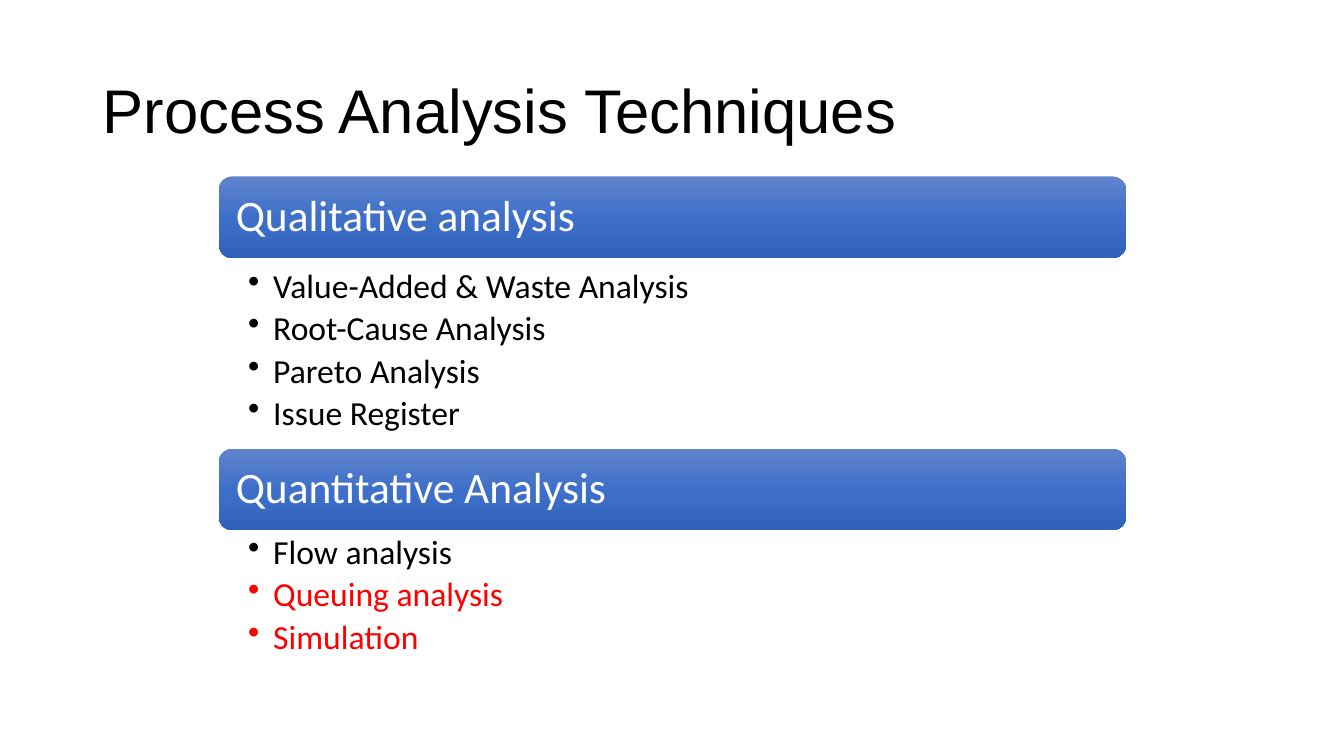
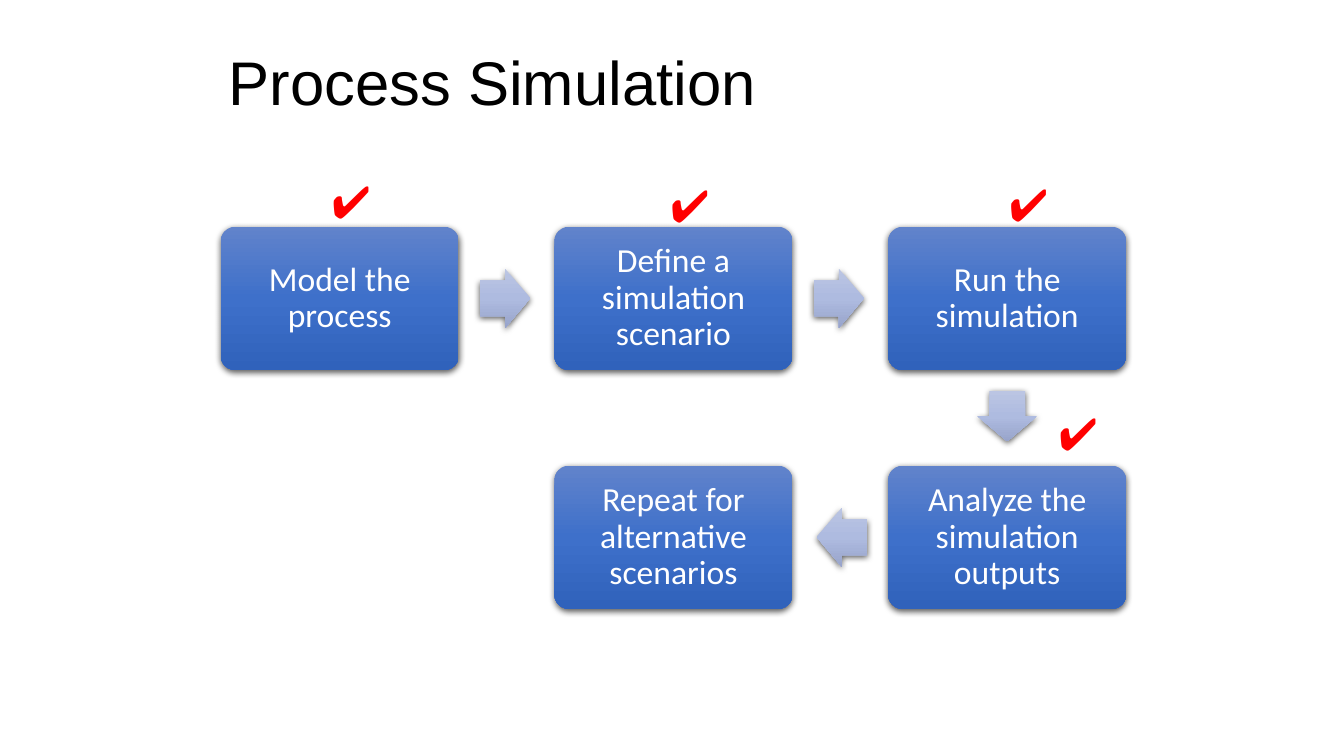
"""Build two slides on process analysis techniques and process simulation."""
from pptx import Presentation
from pptx.dml.color import RGBColor
from pptx.enum import shapes, text
from pptx.oxml import parse_xml
from pptx.oxml.ns import nsdecls
from pptx.util import Inches, Pt

BLACK = RGBColor(0x00, 0x00, 0x00)
WHITE = RGBColor(0xFF, 0xFF, 0xFF)
RED = RGBColor(0xFF, 0x00, 0x00)
BLUES = [RGBColor(0x61, 0x83, 0xCB), RGBColor(0x3E, 0x70, 0xCA), RGBColor(0x30, 0x62, 0xBB)]
PALE_BLUES = [RGBColor(0xBB, 0xC5, 0xE3), RGBColor(0xAE, 0xBB, 0xE0), RGBColor(0x98, 0xA4, 0xCB)]

TECHNIQUES = [
    ("Qualitative analysis", 1.75, [
        ("Value-Added & Waste Analysis", BLACK),
        ("Root-Cause Analysis", BLACK),
        ("Pareto Analysis", BLACK),
        ("Issue Register", BLACK),
    ]),
    ("Quantitative Analysis", 4.45, [
        ("Flow analysis", BLACK),
        ("Queuing analysis", RED),
        ("Simulation", RED),
    ]),
]
BAND_LEFT, BAND_WIDTH, BAND_HEIGHT = 2.17, 9, 0.81
ITEM_HEIGHT = 0.46

STEPS = [
    ("Model the process", 0, 0, "right"),
    ("Define a simulation scenario", 1, 0, "right"),
    ("Run the simulation", 2, 0, "down"),
    ("Analyze the simulation outputs", 2, 1, "left"),
    ("Repeat for alternative scenarios", 1, 1, None),
]
STEP_LEFT, STEP_TOP, STEP_WIDTH, STEP_HEIGHT = 2.19, 2.25, 2.36, 1.42
COLUMN_PITCH, ROW_PITCH = 3.31, 2.37
ARROW_LENGTH, ARROW_BREADTH, ARROW_GAP = 0.5, 0.59, 0.21
ARROWS = {
    "right": (shapes.MSO_SHAPE.RIGHT_ARROW, 1, 0),
    "left": (shapes.MSO_SHAPE.LEFT_ARROW, -1, 0),
    "down": (shapes.MSO_SHAPE.DOWN_ARROW, 0, 1),
}
TICKS = [(3.19, 1.67), (6.55, 1.71), (9.91, 1.7), (10.4, 3.98)]


def write(shape, lines, size, color=BLACK, font="Calibri", align=text.PP_ALIGN.LEFT,
          anchor=text.MSO_ANCHOR.TOP, insets=(0.1, 0.05, 0.1, 0.05),
          spacing=0.9, after=0, bullet=False):
    """Fill a shape with text; a line is a string or a (string, colour) pair."""
    frame = shape.text_frame
    frame.word_wrap = True
    frame.vertical_anchor = anchor
    frame.margin_left, frame.margin_top, frame.margin_right, frame.margin_bottom = map(Inches, insets)
    for index, line in enumerate([lines] if isinstance(lines, str) else lines):
        words, line_color = (line, color) if isinstance(line, str) else line
        paragraph = frame.add_paragraph() if index else frame.paragraphs[0]
        paragraph.alignment = align
        paragraph.line_spacing = spacing
        paragraph.space_after = Pt(after)
        run = paragraph.add_run()
        run.text = words
        run.font.size = Pt(size)
        run.font.name = font
        run.font.color.rgb = line_color
        if bullet:
            properties = paragraph._p.get_or_add_pPr()
            properties.set("marL", str(Inches(0.25)))
            properties.set("indent", str(Inches(-0.25)))
            properties.append(parse_xml(f'<a:buChar {nsdecls("a")} char="•"/>'))


def add_text(slide, lines, left, top, width, height, **style):
    """Add a text box."""
    box = slide.shapes.add_textbox(*map(Inches, (left, top, width, height)))
    write(box, lines, **style)


def add_title(slide, words, left, top, width, height):
    """Add a slide title."""
    add_text(slide, words, left, top, width, height, size=44, font="Arial",
             anchor=text.MSO_ANCHOR.MIDDLE)


def add_gradient_shape(slide, kind, left, top, width, height, colors, adjustments=(), shadow=False):
    """Add a borderless shape with a vertical gradient and an optional shadow."""
    shape = slide.shapes.add_shape(kind, *map(Inches, (left, top, width, height)))
    for index, value in enumerate(adjustments):
        shape.adjustments[index] = value
    shape.line.fill.background()
    shape.fill.gradient()
    shape.fill.gradient_angle = 270
    stops = "".join(f'<a:gs pos="{index * 50000}"><a:srgbClr val="{color}"/></a:gs>'
                    for index, color in enumerate(colors))
    properties = shape._element.spPr
    old_stops = properties.find(".//{*}gsLst")
    old_stops.getparent().replace(
        old_stops, parse_xml(f'<a:gsLst {nsdecls("a")}>{stops}</a:gsLst>'))
    shape.shadow.inherit = False
    if shadow:
        properties.find("{*}effectLst").append(parse_xml(
            f'<a:outerShdw {nsdecls("a")} blurRad="{Pt(4.5)}" dist="{Pt(1.5)}" dir="5400000" '
            'algn="ctr" rotWithShape="0"><a:srgbClr val="000000"><a:alpha val="63000"/>'
            '</a:srgbClr></a:outerShdw>'))
    return shape


def build_techniques(slide):
    """Draw the heading bands with their bulleted lists."""
    add_title(slide, "Process Analysis Techniques", 0.92, 0.4, 11.5, 1.45)
    for heading, top, items in TECHNIQUES:
        band = add_gradient_shape(slide, shapes.MSO_SHAPE.ROUNDED_RECTANGLE,
                                  BAND_LEFT, top, BAND_WIDTH, BAND_HEIGHT, BLUES)
        write(band, heading, size=31, color=WHITE, anchor=text.MSO_ANCHOR.MIDDLE,
              insets=(0.13,) * 4)
        list_top = top + BAND_HEIGHT + (0.07 if len(items) > 3 else 0.01)
        add_text(slide, items, BAND_LEFT, list_top, BAND_WIDTH, ITEM_HEIGHT * len(items),
                 size=24, insets=(0.29, 0.04, 0.24, 0.04), after=4.4, bullet=True)


def build_simulation(slide):
    """Draw the step boxes, the arrows between them and the ticks."""
    add_title(slide, "Process Simulation", 2.17, 0.22, 9, 1.25)
    for words, column, row, direction in STEPS:
        left, top = STEP_LEFT + column * COLUMN_PITCH, STEP_TOP + row * ROW_PITCH
        step = add_gradient_shape(slide, shapes.MSO_SHAPE.ROUNDED_RECTANGLE, left, top,
                                  STEP_WIDTH, STEP_HEIGHT, BLUES, [0.1], shadow=True)
        write(step, words, size=24, color=WHITE, align=text.PP_ALIGN.CENTER,
              anchor=text.MSO_ANCHOR.MIDDLE, insets=(0.1,) * 4)
        if direction:
            kind, across, down = ARROWS[direction]
            width, height = ((ARROW_LENGTH, ARROW_BREADTH) if across
                             else (ARROW_BREADTH, ARROW_LENGTH))
            reach = ARROW_GAP + ARROW_LENGTH / 2
            center_x = left + STEP_WIDTH / 2 + across * (STEP_WIDTH / 2 + reach)
            center_y = top + STEP_HEIGHT / 2 + down * (STEP_HEIGHT / 2 + reach)
            add_gradient_shape(slide, kind, center_x - width / 2, center_y - height / 2,
                               width, height, PALE_BLUES, [0.6, 0.5], shadow=True)
    for left, top in TICKS:
        add_text(slide, "✔", left, top, 0.32, 0.64, size=32, color=RED, font="Arial", spacing=1.0)


def main():
    """Build and save the presentation."""
    presentation = Presentation()
    presentation.slide_width, presentation.slide_height = Inches(13.33), Inches(7.5)
    for build in (build_techniques, build_simulation):
        build(presentation.slides.add_slide(presentation.slide_layouts[6]))
    presentation.save("out.pptx")


if __name__ == "__main__":
    main()
